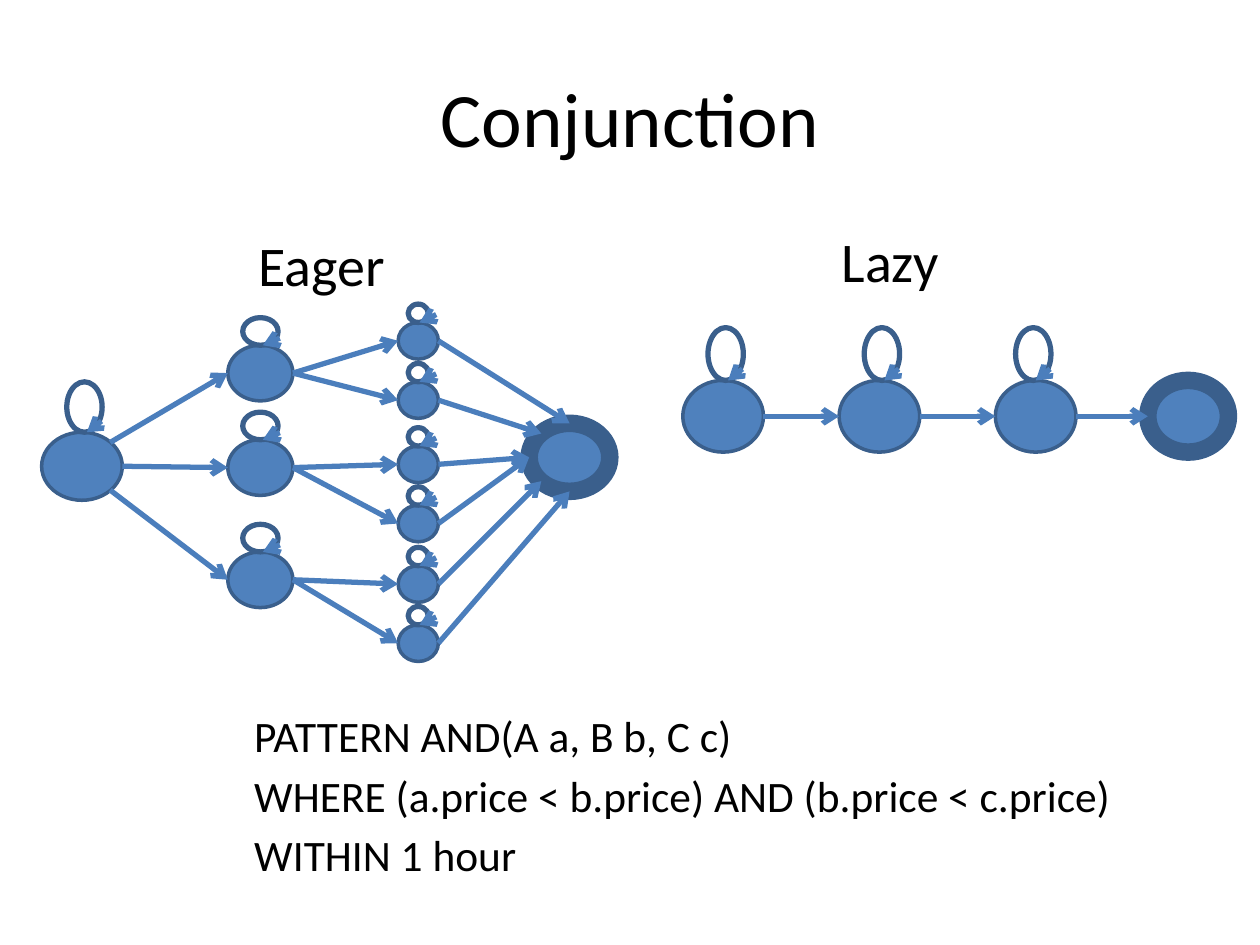
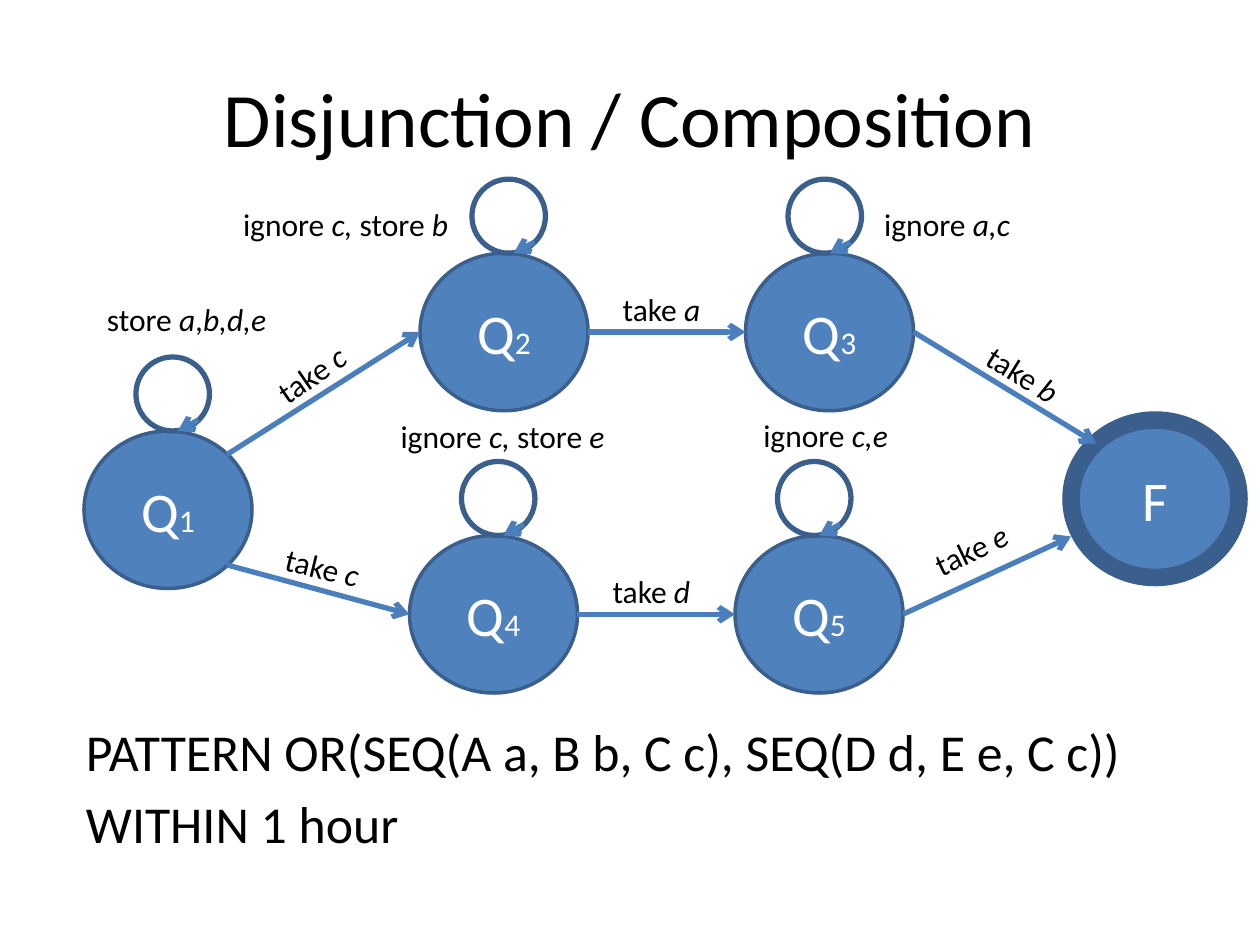
from dataclasses import dataclass
from lxml import etree
from pptx import Presentation, util as u
from pptx.dml.color import RGBColor
from pptx.enum import shapes, text
from pptx.oxml import ns


@dataclass(frozen=True)
class Theme:
    font: str = "Calibri"
    ink: str = "000000"
    on_state: str = "FFFFFF"
    state: str = "4F81BD"
    outline: str = "3A5F8C"
    arrow: str = "4B7EBC"
    title: float = 44
    heading: float = 32
    small: float = 18
    state_line: float = 2
    final_line: float = 10
    arrow_line: float = 3
    query_gap: float = 0.175


T = Theme()
Pt = u.Pt
TITLE_BOX = (36, 21.6, 648, 90)

SITES = {
    "t": (0.5, 0), "b": (0.5, 1), "l": (0, 0.5), "r": (1, 0.5),
    "tl": (0.15, 0.15), "tr": (0.85, 0.15), "bl": (0.15, 0.85), "br": (0.85, 0.85),
    "low_l": (0, 0.74),
}

KINDS = {
    "lazy": dict(size=(46.1, 41), loop=(20.2, 30.2)),
    "lazy_final": dict(size=(46.1, 41), loop=None),
    "start": dict(size=(46.1, 38.9), loop=(20.2, 28.8)),
    "middle": dict(size=(37.2, 31.8), loop=(20.2, 15.8)),
    "leaf": dict(size=(23, 20.9), loop=(11.5, 10.5)),
    "eager_final": dict(size=(46.1, 38.9), loop=None),
    "named": dict(size=(96, 90), loop=(42, 42.3)),
    "named_final": dict(size=(96, 90), loop=None),
}

MIDDLE_TOPS = [197.3, 251.3, 315.4]
LEAF_TOPS = [184.3, 218.2, 254.9, 288.7, 323.3, 357.1]

CONJUNCTION = dict(
    title="Conjunction",
    query=dict(box=(138.2, 401.8, 534.2, 122.4), size=24.8, lines=[
        "PATTERN AND(A a, B b, C c)",
        "WHERE (a.price < b.price) AND (b.price < c.price)",
        "WITHIN 1 hour",
    ]),
    states={
        **{f"L{i}": ("lazy", 390.2 + 89.3 * i, 217.4, dx, "")
           for i, dx in enumerate([1.4, 1.4, -1.4])},
        "L3": ("lazy_final", 655.9, 217.4, 0, ""),
        "S": ("start", 23.8, 247, 1.4, ""),
        **{f"M{i}": ("middle", 130.2, y, 0, "") for i, y in enumerate(MIDDLE_TOPS)},
        **{f"E{i}": ("leaf", 227.5, y, 0, "") for i, y in enumerate(LEAF_TOPS)},
        "F": ("eager_final", 302.4, 241.9, 0, ""),
    },
    edges=[(f"L{i}", "r", f"L{i + 1}", "l") for i in range(3)]
    + [("S", site, f"M{i}", "l") for i, site in enumerate(["tr", "r", "br"])]
    + [(f"M{i // 2}", "r", f"E{i}", "l") for i in range(6)]
    + [(f"E{i}", "r", "F", site)
       for i, site in enumerate(["t", "tl", "l", "l", "bl", "b"])],
    labels=[
        ("Eager", (140.4, 128.2, 87.8, 46.1), T.heading, 0, "left", False),
        ("Lazy", (473.8, 126, 70.6, 46.1), T.heading, 0, "left", False),
    ],
)

DISJUNCTION = dict(
    title="Disjunction / Composition",
    query=dict(box=(42, 408, 636, 104.4), size=29.6, lines=[
        "PATTERN OR(SEQ(A a, B b, C c), SEQ(D d, E e, C c))",
        "WITHIN 1 hour",
    ]),
    states={
        "Q1": ("named", 48, 246.3, 2.7, "Q1"),
        "Q2": ("named", 240, 144.7, 2.7, "Q2"),
        "Q3": ("named", 426, 144.7, -2.7, "Q3"),
        "F": ("named_final", 612, 240, 0, "F"),
        "Q4": ("named", 234, 306, 2.7, "Q4"),
        "Q5": ("named", 420, 306, -2.7, "Q5"),
    },
    edges=[
        ("Q1", "tr", "Q2", "l"), ("Q2", "r", "Q3", "l"), ("Q3", "r", "F", "tl"),
        ("Q1", "br", "Q4", "l"), ("Q4", "r", "Q5", "l"), ("Q5", "r", "F", "low_l"),
    ],
    labels=[
        ("take *c*", (149, 199.4, 57.6, 28.8), T.small, 325.5, "center", False),
        ("take *a*", (348.5, 162, 59, 28.8), T.small, 0, "center", False),
        ("take *b*", (555.1, 199.4, 59, 28.8), T.small, 31.8, "center", False),
        ("take *c*", (155.5, 309.6, 57.6, 28.8), T.small, 13.7, "center", False),
        ("take *d*", (342.7, 323.3, 59, 28.8), T.small, 0, "center", False),
        ("take *e*", (525.6, 299.5, 58.3, 28.8), T.small, 334.4, "center", False),
        ("store *a*,*b,d,e*", (54, 167.8, 105.8, 28.8), T.small, 0, "left", False),
        ("ignore *c, *store* b*", (131.8, 113.8, 131.8, 28.8), T.small, 0, "left", True),
        ("ignore *a,c*", (498.2, 113.8, 87.1, 28.8), T.small, 0, "left", False),
        ("ignore *c, *store* e*", (221.8, 234.7, 131.8, 28.8), T.small, 0, "left", True),
        ("ignore *c,e*", (429.1, 234, 86.4, 28.8), T.small, 0, "left", False),
    ],
)


def rgb(value):
    return RGBColor.from_string(value)


def add_run(p, content, size, color=T.ink, italic=False):
    r = p.add_run()
    r.text = content
    r.font.name, r.font.size, r.font.italic = T.font, Pt(size), italic
    r.font.color.rgb = rgb(color)


def add_box(s, box, wrap=True):
    sp = s.shapes.add_textbox(*map(Pt, box))
    sp.text_frame.word_wrap = wrap
    return sp


def add_title(s, content):
    tf = add_box(s, TITLE_BOX).text_frame
    tf.vertical_anchor = text.MSO_ANCHOR.MIDDLE
    tf.paragraphs[0].alignment = text.PP_ALIGN.CENTER
    add_run(tf.paragraphs[0], content, T.title)


def add_query(s, box, size, lines):
    tf = add_box(s, box).text_frame
    for i, line in enumerate(lines):
        p = tf.add_paragraph() if i else tf.paragraphs[0]
        p.space_before = Pt(round(size * T.query_gap, 1))
        add_run(p, line, size)


def add_label(s, content, box, size, angle, align, wrap):
    sp = add_box(s, box, wrap)
    sp.rotation = angle
    tf = sp.text_frame
    tf.auto_size = text.MSO_AUTO_SIZE.SHAPE_TO_FIT_TEXT
    p = tf.paragraphs[0]
    p.alignment = text.PP_ALIGN[align.upper()]
    for i, part in enumerate(content.split("*")):
        if part:
            add_run(p, part, size, italic=i % 2 == 1)


def add_ellipse(s, box, line, fill=None):
    sp = s.shapes.add_shape(shapes.MSO_SHAPE.OVAL, *map(Pt, box))
    sp.shadow.inherit = False
    if fill:
        sp.fill.solid()
        sp.fill.fore_color.rgb = rgb(fill)
    else:
        sp.fill.background()
    sp.line.color.rgb = rgb(T.outline)
    sp.line.width = Pt(line)
    return sp


def add_arrow(s, start, end):
    c = s.shapes.add_connector(shapes.MSO_CONNECTOR.STRAIGHT, *map(Pt, start + end))
    c.line.color.rgb = rgb(T.arrow)
    c.line.width = Pt(T.arrow_line)
    etree.SubElement(c.line._get_or_add_ln(), ns.qn("a:tailEnd"), type="arrow")
    etree.SubElement(c._element.spPr, ns.qn("a:effectLst"))


def site_point(box, site):
    x, y, w, h = box
    fx, fy = SITES[site]
    return x + fx * w, y + fy * h


def add_state(s, kind, x, y, loop_dx, name):
    w, h = KINDS[kind]["size"]
    loop = KINDS[kind]["loop"]
    box = (x, y, w, h)
    sp = add_ellipse(s, box, T.state_line if loop else T.final_line, T.state)
    if name:
        tf = sp.text_frame
        tf.vertical_anchor = text.MSO_ANCHOR.MIDDLE
        p = tf.paragraphs[0]
        p.alignment = text.PP_ALIGN.CENTER
        add_run(p, name[0], T.heading, T.on_state)
        if name[1:]:
            add_run(p, name[1:], T.small, T.on_state)
    if loop:
        lw, lh = loop
        middle = x + w / 2 + loop_dx
        ring = (middle - lw / 2, y - lh, lw, lh)
        add_ellipse(s, ring, T.arrow_line)
        add_arrow(s, site_point(ring, "br"), (middle + 0.07 * lw, y))
    return box


def add_automaton_slide(prs, content):
    s = prs.slides.add_slide(prs.slide_layouts[6])
    add_title(s, content["title"])
    add_query(s, **content["query"])
    boxes = {key: add_state(s, *state) for key, state in content["states"].items()}
    for source, leave, target, enter in content["edges"]:
        add_arrow(s, site_point(boxes[source], leave), site_point(boxes[target], enter))
    for label in content["labels"]:
        add_label(s, *label)


def main():
    prs = Presentation()
    prs.slide_width, prs.slide_height = Pt(720), Pt(540)
    for content in (CONJUNCTION, DISJUNCTION):
        add_automaton_slide(prs, content)
    prs.save("out.pptx")


if __name__ == "__main__":
    main()
